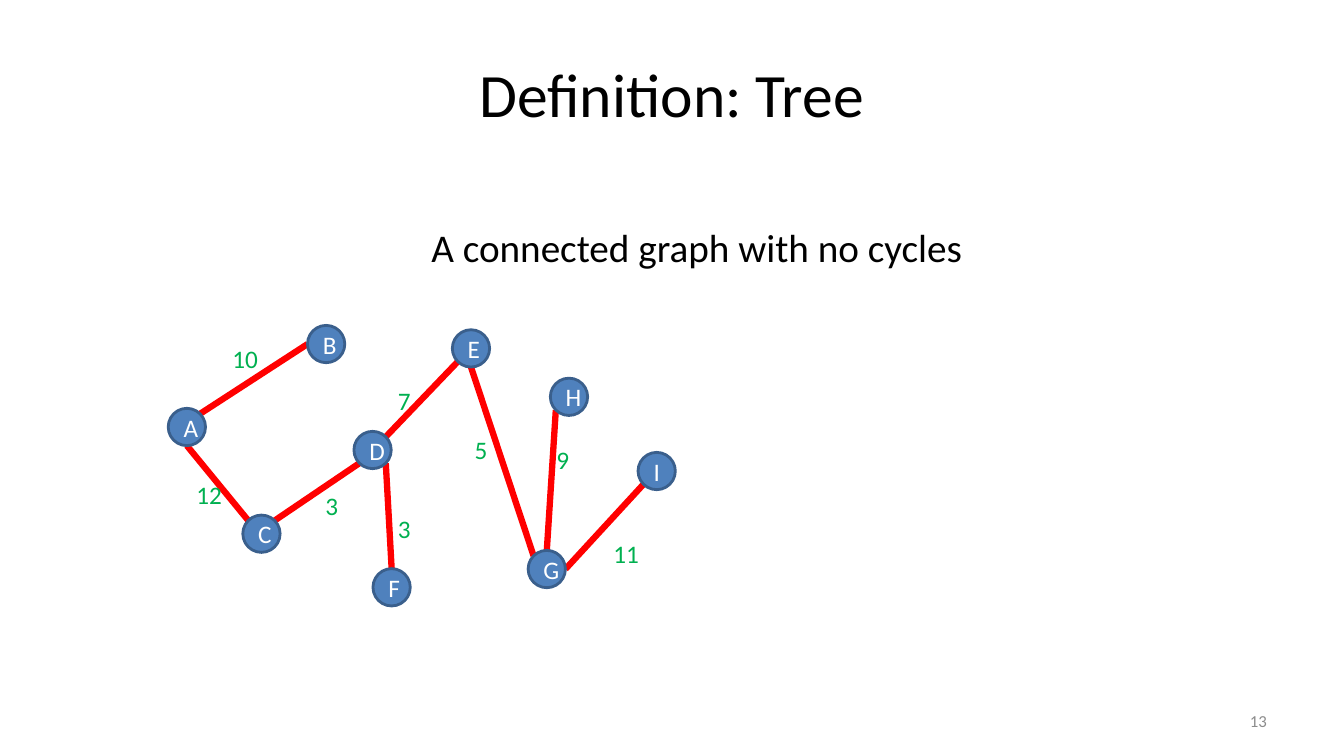
import math

import pptx
import pptx.dml.color
import pptx.enum.shapes
import pptx.enum.text
import pptx.util
from lxml import etree
from pptx.enum.text import MSO_ANCHOR, MSO_AUTO_SIZE, PP_ALIGN
from pptx.oxml.ns import qn
from pptx.util import Cm, Pt

COLORS = {
    "text": "000000",
    "number": "8C8C8C",
    "weight": "00B050",
    "edge": "FF0000",
    "node": "4F81BD",
    "node_border": "3A5F8C",
    "node_text": "FFFFFF",
}

NODE_SIZE = 0.94
NODES = {
    "A": (4.24, 10.29),
    "B": (7.75, 8.2),
    "C": (6.12, 12.98),
    "D": (8.92, 10.87),
    "E": (11.4, 8.31),
    "F": (9.4, 14.33),
    "G": (13.31, 13.87),
    "I": (16.08, 11.4),
    "H": (13.87, 9.53),
}

TOP, TOP_LEFT, LEFT, BOTTOM_LEFT, BOTTOM, BOTTOM_RIGHT, RIGHT, TOP_RIGHT = range(8)
EDGES = [
    ("A", TOP_RIGHT, "B", LEFT, "10", 5.61, 8.53),
    ("A", BOTTOM, "C", TOP_LEFT, "12", 4.7, 11.96),
    ("D", BOTTOM_LEFT, "C", TOP_RIGHT, "3", 7.95, 12.22),
    ("D", BOTTOM_RIGHT, "F", TOP, "3", 9.78, 12.8),
    ("D", TOP_RIGHT, "E", BOTTOM_LEFT, "7", 9.78, 9.58),
    ("G", TOP_LEFT, "E", BOTTOM, "5", 11.71, 10.82),
    ("G", TOP, "H", BOTTOM_LEFT, "9", 13.77, 11.07),
    ("I", BOTTOM_LEFT, "G", RIGHT, "11", 15.21, 13.44),
]


def rgb(name):
    return pptx.dml.color.RGBColor.from_string(COLORS[name])


def write(frame, text, size, color, align):
    frame.text = text
    paragraph = frame.paragraphs[0]
    paragraph.alignment = align
    font = paragraph.runs[0].font
    font.name = "Calibri"
    font.size = Pt(size)
    font.color.rgb = rgb(color)


def add_text(slide, text, box, size, color, align=PP_ALIGN.LEFT,
             anchor=MSO_ANCHOR.TOP, wrap=True):
    frame = slide.shapes.add_textbox(*map(Cm, box)).text_frame
    frame.word_wrap = wrap
    frame.vertical_anchor = anchor
    frame.auto_size = MSO_AUTO_SIZE.NONE if anchor == MSO_ANCHOR.MIDDLE else MSO_AUTO_SIZE.SHAPE_TO_FIT_TEXT
    write(frame, text, size, color, align)


def add_node(slide, letter):
    left, top = NODES[letter]
    node = slide.shapes.add_shape(
        pptx.enum.shapes.MSO_SHAPE.OVAL, Cm(left), Cm(top), Cm(NODE_SIZE), Cm(NODE_SIZE))
    node.shadow.inherit = False
    node.fill.solid()
    node.fill.fore_color.rgb = rgb("node")
    node.line.color.rgb = rgb("node_border")
    node.line.width = Pt(2)
    node.text_frame.vertical_anchor = MSO_ANCHOR.MIDDLE
    write(node.text_frame, letter, 18, "node_text", PP_ALIGN.CENTER)
    return node


def site_point(letter, site):
    left, top = NODES[letter]
    radius = NODE_SIZE / 2
    angle = math.radians(45 * site)
    return (Cm(left + radius - radius * math.sin(angle)),
            Cm(top + radius - radius * math.cos(angle)))


def add_edge(slide, start, start_site, end, end_site):
    edge = slide.shapes.add_connector(
        pptx.enum.shapes.MSO_CONNECTOR.STRAIGHT,
        *site_point(start, start_site), *site_point(end, end_site))
    edge.line.color.rgb = rgb("edge")
    edge.line.width = Pt(4.5)
    etree.SubElement(edge._element.spPr, qn("a:effectLst"))
    return edge


def glue(edge, tag, node, site):
    properties = edge._element.xpath(".//p:cNvCxnSpPr")[0]
    etree.SubElement(properties, qn(tag), id=str(node.shape_id), idx=str(site))


def add_tree(slide):
    lines = [add_edge(slide, *edge[:4]) for edge in EDGES]
    for *_, weight, left, top in EDGES:
        width = 0.51 + 0.33 * len(weight)
        add_text(slide, weight, (left, top, width, 1.02), 18, "weight", wrap=False)
    nodes = {letter: add_node(slide, letter) for letter in NODES}
    for line, (start, start_site, end, end_site, *_) in zip(lines, EDGES):
        glue(line, "a:stCxn", nodes[start], start_site)
        glue(line, "a:endCxn", nodes[end], end_site)


def main():
    deck = pptx.Presentation()
    deck.slide_width = Cm(33.87)
    deck.slide_height = Cm(19.05)
    slide = deck.slides.add_slide(deck.slide_layouts[6])
    add_text(slide, "Definition: Tree", (1.69, 0.76, 30.48, 3.18), 44, "text",
             PP_ALIGN.CENTER, MSO_ANCHOR.MIDDLE)
    add_text(slide, "13", (24.28, 17.65, 7.9, 1.02), 12, "number",
             PP_ALIGN.RIGHT, MSO_ANCHOR.MIDDLE)
    add_text(slide, "A connected graph with no cycles", (10.62, 5.51, 19, 1.45), 28, "text")
    add_tree(slide)
    deck.save("out.pptx")


if __name__ == "__main__":
    main()
